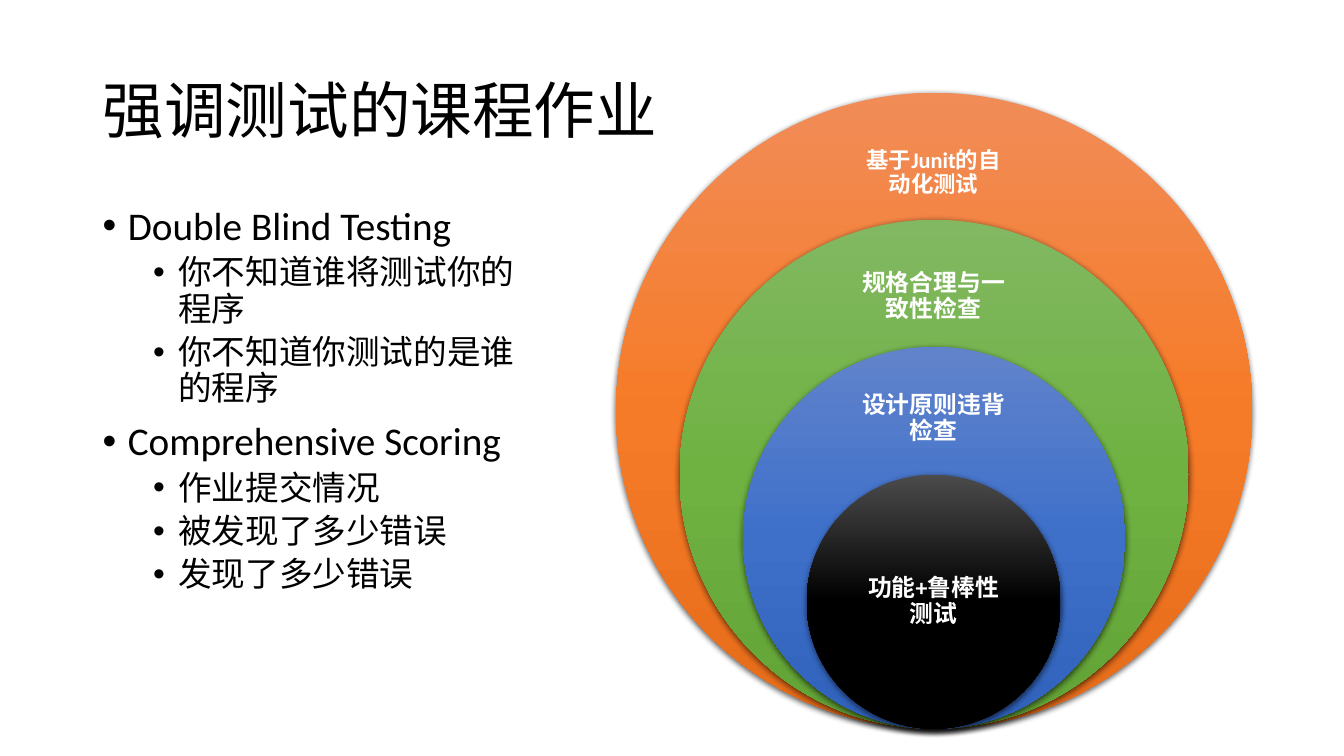
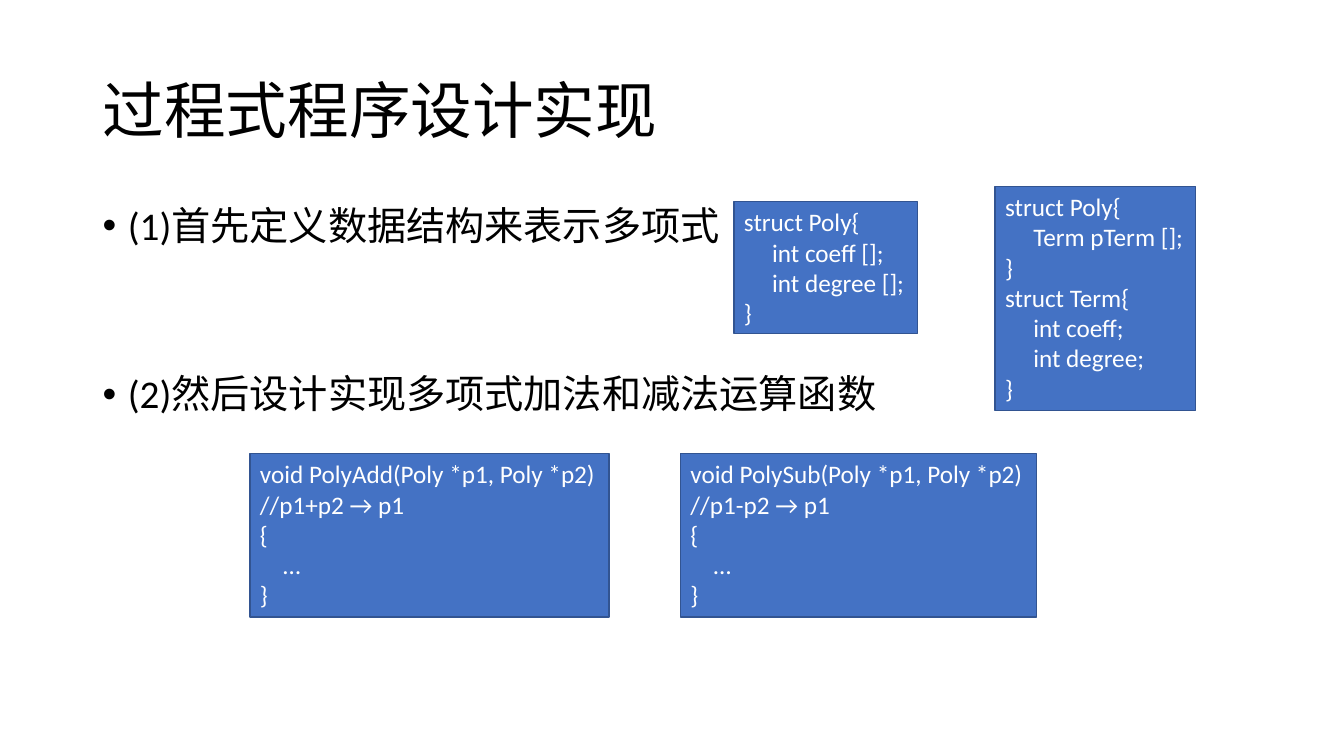
from dataclasses import dataclass

from lxml.etree import SubElement
from pptx import Presentation
from pptx.dml.color import RGBColor
from pptx.enum.shapes import MSO_SHAPE
from pptx.enum.text import MSO_ANCHOR, MSO_AUTO_SIZE, PP_ALIGN
from pptx.oxml.ns import qn
from pptx.slide import Slide
from pptx.text.text import TextFrame, _Paragraph
from pptx.util import Pt

PX = 9144  # EMU per px, 100 px to the inch
FONT = "Calibri"
BLACK = RGBColor(0x00, 0x00, 0x00)
WHITE = RGBColor(0xFF, 0xFF, 0xFF)
CODE_FILL = RGBColor(0x44, 0x72, 0xC4)
CODE_EDGE = RGBColor(0x32, 0x54, 0x91)
ORANGE = (RGBColor(0xF1, 0x8C, 0x57), RGBColor(0xF6, 0x7B, 0x28), RGBColor(0xE5, 0x6C, 0x19))
GREEN = (RGBColor(0x81, 0xB8, 0x61), RGBColor(0x6F, 0xB2, 0x42), RGBColor(0x62, 0xA3, 0x36))
BLUE = (RGBColor(0x61, 0x83, 0xCB), RGBColor(0x3E, 0x70, 0xCA), RGBColor(0x30, 0x62, 0xBB))
DARK = (RGBColor(0x4B, 0x4B, 0x4B), BLACK, BLACK)

# Nested circles share a centre line and a bottom edge
CIRCLE_CENTER = 926
CIRCLE_BOTTOM = 723
CIRCLE_SIZE = 631
LABEL_WIDTH = 176
LABEL_INSET = 12


@dataclass(frozen=True)
class Box:
    left: int
    top: int
    width: int
    height: int

    def emu(self) -> tuple[int, int, int, int]:
        return self.left * PX, self.top * PX, self.width * PX, self.height * PX


@dataclass(frozen=True)
class Bullet:
    text: str
    level: int = 0
    space_before: int = 10


@dataclass(frozen=True)
class Ring:
    label: str
    colors: tuple[RGBColor, RGBColor, RGBColor]
    label_top: int
    label_height: int
    size: int = 17


@dataclass(frozen=True)
class CodeBlock:
    box: Box
    lines: tuple[str, ...]  # a leading tab marks an indented line
    indent: int


TITLE_BOX = Box(92, 40, 1150, 145)

TESTING_BULLETS = (
    Bullet("Double Blind Testing"),
    Bullet("你不知道谁将测试你的程序", 1, 5),
    Bullet("你不知道你测试的是谁的程序", 1, 5),
    Bullet("Comprehensive Scoring"),
    Bullet("作业提交情况", 1, 5),
    Bullet("被发现了多少错误", 1, 5),
    Bullet("发现了多少错误", 1, 5),
)
RINGS = (
    Ring("基于Junit的自动化测试", ORANGE, 124, 95, 16),
    Ring("规格合理与一致性检查", GREEN, 249, 91),
    Ring("设计原则违背检查", BLUE, 373, 85),
    Ring("功能+鲁棒性测试", DARK, 534, 126),
)
STEP_BULLETS = (
    Bullet("(1)首先定义数据结构来表示多项式"),
    Bullet("(2)然后设计实现多项式加法和减法运算函数", space_before=90),
)


def function_lines(name: str, sign: str) -> tuple[str, ...]:
    return f"void {name}(Poly *p1, Poly *p2)", f"//p1{sign}p2 → p1", "{", "\t…", "}"


CODE_BLOCKS = (
    CodeBlock(Box(728, 200, 182, 131),
              ("struct Poly{", "\tint coeff [];", "\tint degree [];", "}"), 28),
    CodeBlock(Box(987, 185, 199, 222),
              ("struct Poly{", "\tTerm pTerm [];", "}",
               "struct Term{", "\tint coeff;", "\tint degree;", "}"), 28),
    CodeBlock(Box(248, 450, 356, 162), function_lines("PolyAdd", "+"), 23),
    CodeBlock(Box(675, 450, 353, 162), function_lines("PolySub", "-"), 23),
)


def format_runs(paragraph: _Paragraph, size: int, color: RGBColor, bold: bool = False) -> None:
    for run in paragraph.runs:
        run.font.name = FONT
        run.font.size = Pt(size)
        run.font.color.rgb = color
        run.font.bold = bold


def add_text_area(slide: Slide, box: Box) -> TextFrame:
    frame = slide.shapes.add_textbox(*box.emu()).text_frame
    frame.word_wrap = True
    return frame


def add_title(slide: Slide, text: str) -> None:
    frame = add_text_area(slide, TITLE_BOX)
    frame.vertical_anchor = MSO_ANCHOR.MIDDLE
    frame.text = text
    heading = frame.paragraphs[0]
    heading.line_spacing = 0.9
    format_runs(heading, 44, BLACK)


def add_bullets(slide: Slide, box: Box, bullets: tuple[Bullet, ...]) -> None:
    frame = add_text_area(slide, box)
    frame.text = "\n".join(bullet.text for bullet in bullets)
    for bullet, paragraph in zip(bullets, frame.paragraphs):
        paragraph.level = bullet.level
        paragraph.line_spacing = 0.9
        paragraph.space_before = Pt(bullet.space_before)
        format_runs(paragraph, 28 - 4 * bullet.level, BLACK)
        properties = paragraph._p.get_or_add_pPr()
        properties.set("marL", str((25 + 50 * bullet.level) * PX))
        properties.set("indent", str(-25 * PX))
        SubElement(properties, qn("a:buFont"), typeface="Arial")
        SubElement(properties, qn("a:buChar"), char="•")


def add_ring(slide: Slide, ring: Ring, index: int) -> None:
    # Each circle is a fifth of the outer one smaller than the last
    size = round(CIRCLE_SIZE * (5 - index) / 5)
    box = Box(CIRCLE_CENTER - size // 2, CIRCLE_BOTTOM - size, size, size)
    circle = slide.shapes.add_shape(MSO_SHAPE.OVAL, *box.emu())
    circle.line.fill.background()
    circle.fill.gradient()
    circle.fill.gradient_angle = 270
    circle.shadow.inherit = False
    properties = circle.element.spPr

    # Three-stop gradient
    stops = properties.find(qn("a:gradFill")).find(qn("a:gsLst"))
    for stop in list(stops):
        stops.remove(stop)
    for position, color in enumerate(ring.colors):
        stop = SubElement(stops, qn("a:gs"), pos=str(position * 50000))
        SubElement(stop, qn("a:srgbClr"), val=str(color))

    # Soft shadow below the circle
    shadow = SubElement(properties.find(qn("a:effectLst")), qn("a:outerShdw"),
                        blurRad=str(Pt(4.5)), dist=str(Pt(1.5)), dir="5400000",
                        algn="ctr", rotWithShape="0")
    shadow_color = SubElement(shadow, qn("a:srgbClr"), val=str(BLACK))
    SubElement(shadow_color, qn("a:alpha"), val="63000")

    # Label
    frame = add_text_area(slide, Box(CIRCLE_CENTER - LABEL_WIDTH // 2, ring.label_top,
                                     LABEL_WIDTH, ring.label_height))
    frame.margin_left = frame.margin_right = LABEL_INSET * PX
    frame.margin_top = frame.margin_bottom = LABEL_INSET * PX
    frame.vertical_anchor = MSO_ANCHOR.MIDDLE
    frame.text = ring.label
    label = frame.paragraphs[0]
    label.alignment = PP_ALIGN.CENTER
    label.line_spacing = 0.9
    format_runs(label, ring.size, WHITE, bold=True)


def add_code(slide: Slide, block: CodeBlock) -> None:
    panel = slide.shapes.add_shape(MSO_SHAPE.RECTANGLE, *block.box.emu())
    panel.shadow.inherit = False
    panel.fill.solid()
    panel.fill.fore_color.rgb = CODE_FILL
    panel.line.color.rgb = CODE_EDGE
    panel.line.width = Pt(1)
    frame = panel.text_frame
    frame.word_wrap = False
    frame.auto_size = MSO_AUTO_SIZE.SHAPE_TO_FIT_TEXT
    frame.vertical_anchor = MSO_ANCHOR.TOP
    frame.text = "\n".join(line.lstrip("\t") for line in block.lines)
    for line, paragraph in zip(block.lines, frame.paragraphs):
        paragraph.alignment = PP_ALIGN.LEFT
        format_runs(paragraph, 18, WHITE)
        if line.startswith("\t"):
            paragraph._p.get_or_add_pPr().set("marL", str(block.indent * PX))


def main() -> None:
    presentation = Presentation()
    presentation.slide_width = 1333 * PX
    presentation.slide_height = 750 * PX
    blank = presentation.slide_layouts[6]

    # Coursework with nested levels of testing
    coursework = presentation.slides.add_slide(blank)
    add_title(coursework, "强调测试的课程作业")
    add_bullets(coursework, Box(92, 200, 440, 476), TESTING_BULLETS)
    for index, ring in enumerate(RINGS):
        add_ring(coursework, ring, index)

    # Procedural design with code panels
    procedural = presentation.slides.add_slide(blank)
    add_title(procedural, "过程式程序设计实现")
    add_bullets(procedural, Box(92, 200, 1150, 476), STEP_BULLETS)
    for block in CODE_BLOCKS:
        add_code(procedural, block)

    presentation.save("out.pptx")


if __name__ == "__main__":
    main()
